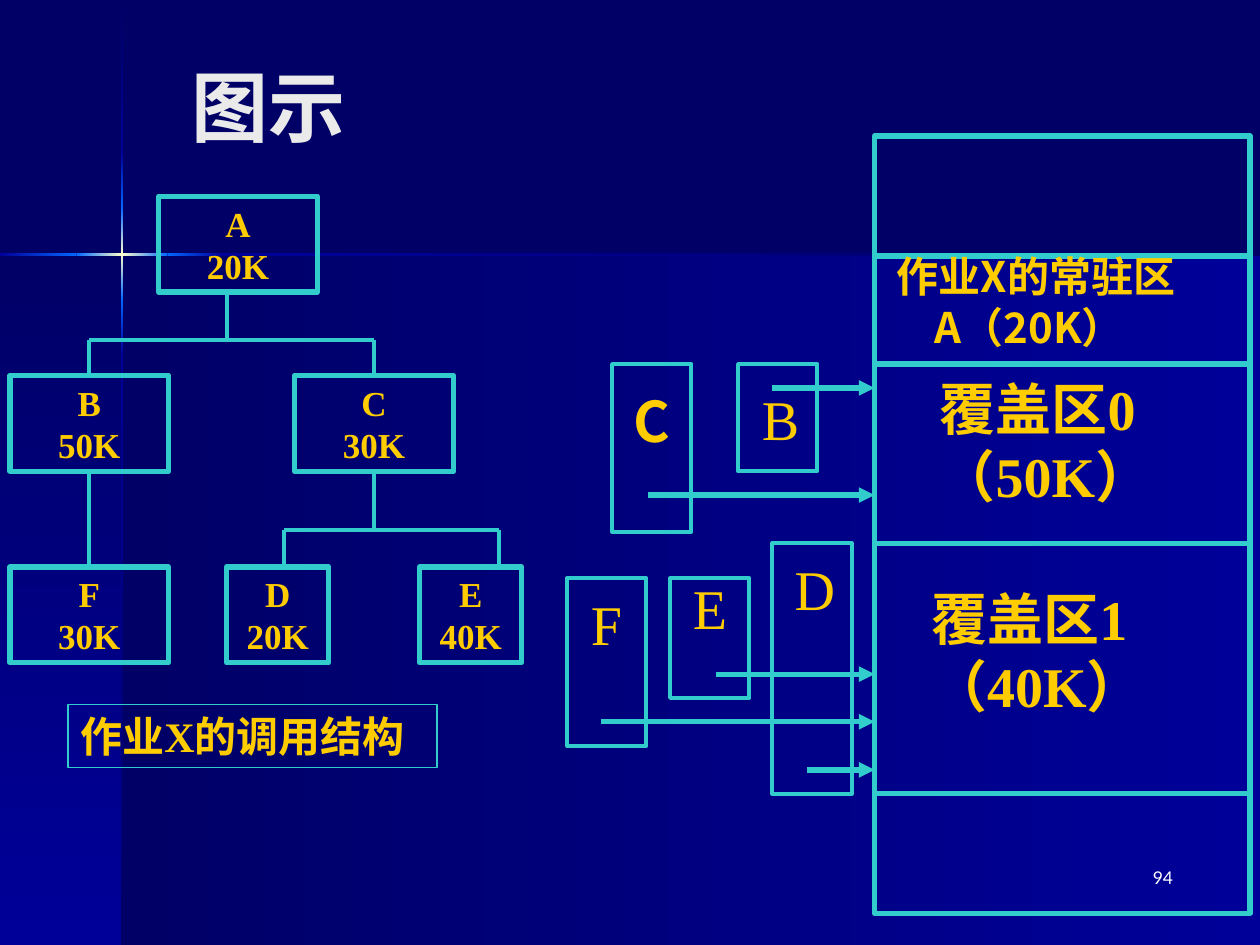
from itertools import pairwise

from lxml.etree import SubElement
from pptx import Presentation
from pptx.dml.color import RGBColor
from pptx.enum.shapes import MSO_CONNECTOR, MSO_SHAPE
from pptx.enum.text import MSO_ANCHOR, MSO_AUTO_SIZE, PP_ALIGN
from pptx.oxml.ns import qn
from pptx.util import Cm, Pt

THEME = {
    "navy": "000066", "blue": "000099", "bright": "0066FF", "glow": "FFFFCC",
    "line": "33CCCC", "text": "FFCC00", "title": "EAEAEA", "number": "FFFFFF",
    "serif": "Times New Roman", "sans": "Lato", "cjk": "Noto Sans CJK SC",
    "title_size": 44, "area_size": 32, "caption_size": 24, "node_size": 20,
    "number_size": 10, "thin": 0.75, "medium": 2.25, "thick": 3,
}

# Content; all lengths in cm
TITLE = "图示"
NUMBER = "94"
CAPTION = "作业X的调用结构"

ROWS = [3.96, 7.57, 11.43]
NODE_W, LEAF_W, NODE_H = 3.2, 2.06, 1.93
NODES = [  # name, size, left, row, width
    ("A", "20K", 3.2, 0, NODE_W),
    ("B", "50K", 0.2, 1, NODE_W),
    ("C", "30K", 5.94, 1, NODE_W),
    ("F", "30K", 0.2, 2, NODE_W),
    ("D", "20K", 4.57, 2, LEAF_W),
    ("E", "40K", 8.46, 2, LEAF_W),
]
BRANCHES = [  # parent row, parent x, bus y, child xs
    (0, 4.57, 6.86, [1.8, 7.54]),
    (1, 7.54, 10.69, [5.72, 10.06]),
    (1, 1.8, None, [1.8]),
]

MEM_X, MEM_Y, MEM_W, MEM_H = 17.63, 2.74, 7.57, 15.67
DIVIDERS = [5.16, 7.34, 10.95, 16]
AREAS = [  # lines, left, top, size key, font key, second line indent
    (["作业X的常驻区", "A（20K）"], 17.83, 4.93, "caption_size", "cjk", 0.76),
    (["覆盖区0", "（50K）"], 18.69, 7.42, "area_size", "serif", 0),
    (["覆盖区1", "（40K）"], 18.52, 11.66, "area_size", "serif", 0),
]
OVERLAY_W = 1.6
OVERLAYS = [  # name, box left/top/height, label left/top, arrow x/y
    ("B", (14.88, 7.34, 2.16), (15.11, 7.62), (15.57, 7.82)),
    ("C", (12.34, 7.34, 3.38), (12.52, 7.67), (13.06, 9.98)),
    ("F", (11.43, 11.66, 3.38), (11.66, 11.76), (12.12, 14.55)),
    ("E", (13.51, 11.66, 2.41), (13.72, 11.43), (14.43, 13.59)),
    ("D", (15.57, 10.95, 5.05), (15.77, 11.05), (16.26, 15.52)),
]

# Background light: gradient colours and the limits of each beam piece
FLARE = [("blue", "bright"), ("bright", "glow", "bright"),
         ("bright", "blue"), ("blue", "navy")]
BEAM_X, BEAM_Y, BEAM_W = 2.44, 5.11, 0.05
ACROSS = [0, 1.54, 3.38, 4.5, 25.4]
DOWN = [0.03, 3.07, 4.19, 6.05, 7.16, 19.05]


def rgb(key):
    return RGBColor.from_string(THEME[key])


def add_rect(s, x, y, w, h, weight=None):
    sp = s.shapes.add_shape(MSO_SHAPE.RECTANGLE, Cm(x), Cm(y), Cm(w), Cm(h))
    sp.shadow.inherit = False
    sp.fill.background()
    if weight:
        sp.line.color.rgb = rgb("line")
        sp.line.width = Pt(THEME[weight])
    else:
        sp.line.fill.background()
    return sp


def add_gradient(s, x, y, w, h, colors, vertical=False):
    sp = add_rect(s, x, y, w, h)
    sp.fill.gradient()
    sp.fill.gradient_angle = 270 if vertical else 0
    stops = sp._element.spPr.find(".//" + qn("a:gsLst"))
    for gs in list(stops):
        stops.remove(gs)
    for i, color in enumerate(colors):
        gs = SubElement(stops, qn("a:gs"), pos=str(100000 * i // (len(colors) - 1)))
        SubElement(gs, qn("a:srgbClr"), val=THEME[color])


def add_line(s, x1, y1, x2, y2, weight, arrow=False):
    c = s.shapes.add_connector(MSO_CONNECTOR.STRAIGHT, Cm(x1), Cm(y1), Cm(x2), Cm(y2))
    c.line.color.rgb = rgb("line")
    c.line.width = Pt(THEME[weight])
    if arrow:
        SubElement(c.line._get_or_add_ln(), qn("a:tailEnd"), type="triangle")
    SubElement(c._element.spPr, qn("a:effectLst"))


def write(sp, lines, size, font="serif", color="text", bold=True,
          align=PP_ALIGN.LEFT, anchor=MSO_ANCHOR.TOP, wrap=True):
    tf = sp.text_frame
    tf.text = "\n".join(lines)
    tf.word_wrap = wrap
    tf.auto_size = MSO_AUTO_SIZE.NONE
    tf.vertical_anchor = anchor
    for p in tf.paragraphs:
        p.alignment = align
        for r in p.runs:
            r.font.size = Pt(THEME[size])
            r.font.bold = bold
            r.font.color.rgb = rgb(color)
            r.font.name = THEME[font]
            SubElement(r._r.get_or_add_rPr(), qn("a:ea"), typeface=THEME["cjk"])
    return tf


def add_text(s, x, y, w, h, lines, size, **style):
    return write(s.shapes.add_textbox(Cm(x), Cm(y), Cm(w), Cm(h)), lines, size, **style)


def draw_background(s):
    s.background.fill.solid()
    s.background.fill.fore_color.rgb = rgb("navy")
    add_gradient(s, 2.46, 5.13, 22.94, 13.92, ("navy", "blue"))
    add_gradient(s, 0, 5.13, 2.46, 13.92, ("navy", "blue"), vertical=True)
    for (a, b), colors in zip(pairwise(DOWN), [("navy", "blue")] + FLARE):
        add_gradient(s, BEAM_X, a, BEAM_W, b - a, colors, vertical=True)
    for (a, b), colors in zip(pairwise(ACROSS), FLARE):
        add_gradient(s, a, BEAM_Y, b - a, BEAM_W, colors)


def draw_tree(s):
    for row, x, bus, children in BRANCHES:
        bottom, child_top = ROWS[row] + NODE_H, ROWS[row + 1]
        if bus is None:
            add_line(s, x, bottom, x, child_top, "medium")
            continue
        add_line(s, x, bottom, x, bus, "medium")
        add_line(s, children[0], bus, children[-1], bus, "medium")
        for child in children:
            add_line(s, child, bus, child, child_top, "medium")
    for name, size, x, row, w in NODES:
        write(add_rect(s, x, ROWS[row], w, NODE_H, "thick"), [name, size], "node_size",
              align=PP_ALIGN.CENTER, anchor=MSO_ANCHOR.MIDDLE, wrap=False)
    write(add_rect(s, 1.37, 14.2, 7.44, 1.27, "thin"), [CAPTION], "caption_size", wrap=False)


def draw_memory(s):
    add_rect(s, MEM_X, MEM_Y, MEM_W, MEM_H, "thick")
    for y in DIVIDERS:
        add_line(s, MEM_X, y, MEM_X + MEM_W, y, "thick")
    for lines, x, y, size, font, indent in AREAS:
        tf = add_text(s, x, y, 6.8, 2.6, lines, size, font=font)
        if indent:
            tf.paragraphs[1]._p.get_or_add_pPr().set("marL", str(Cm(indent)))


def draw_overlays(s):
    for name, (x, y, h), label, arrow in OVERLAYS:
        add_rect(s, x, y, OVERLAY_W, h, "medium")
        add_line(s, *arrow, MEM_X, arrow[1], "thick", arrow=True)
        strong = name == "C"
        add_text(s, *label, OVERLAY_W, 1.62, [name], "area_size",
                 font="cjk" if strong else "serif", bold=strong)


def main():
    prs = Presentation()
    prs.slide_width, prs.slide_height = Cm(25.4), Cm(19.05)
    s = prs.slides.add_slide(prs.slide_layouts[5])
    draw_background(s)

    # Title and slide number
    title = s.shapes.title
    title.left, title.top, title.width, title.height = Cm(3.6), Cm(0.84), Cm(4.65), Cm(2.34)
    write(title, [TITLE], "title_size", font="sans", color="title", anchor=MSO_ANCHOR.BOTTOM)
    draw_tree(s)
    draw_memory(s)
    draw_overlays(s)
    add_text(s, 18.62, 17.35, 5.28, 1.27, [NUMBER], "number_size", font="sans",
             color="number", bold=False, align=PP_ALIGN.RIGHT)
    prs.save("out.pptx")


if __name__ == "__main__":
    main()
